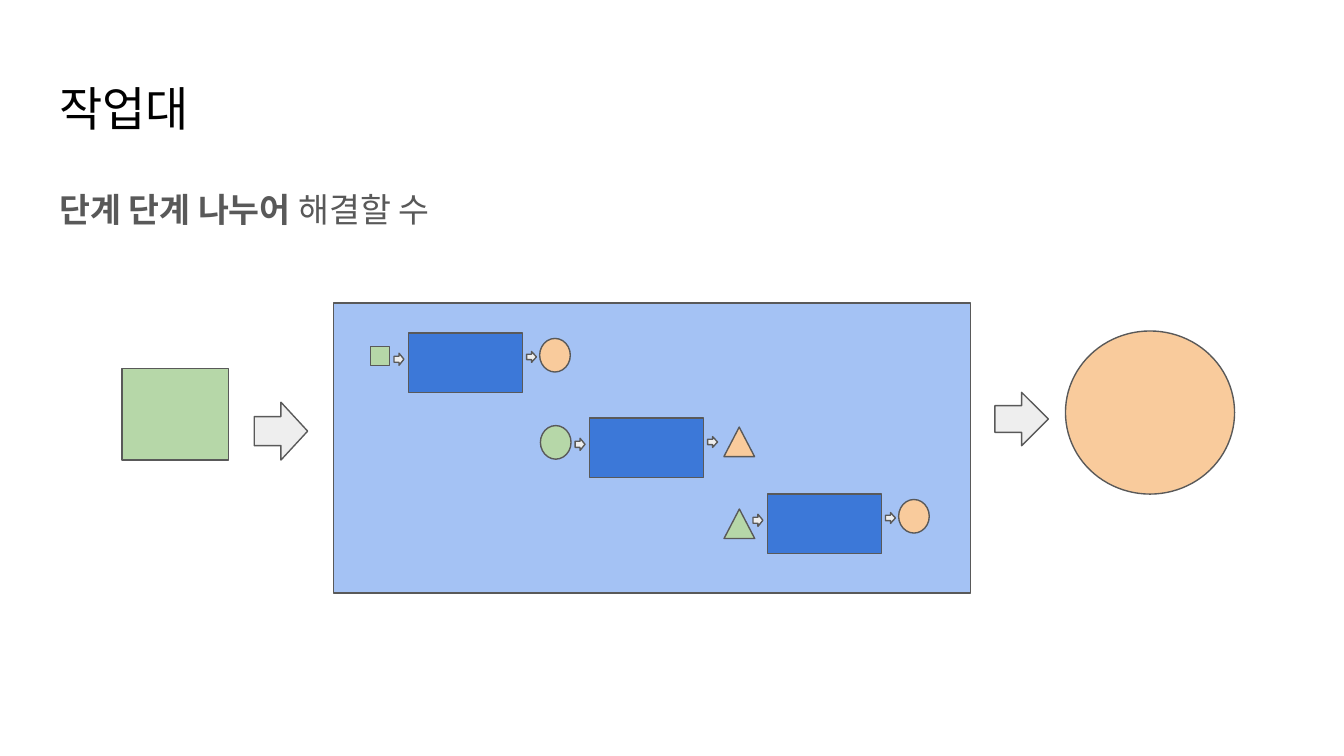
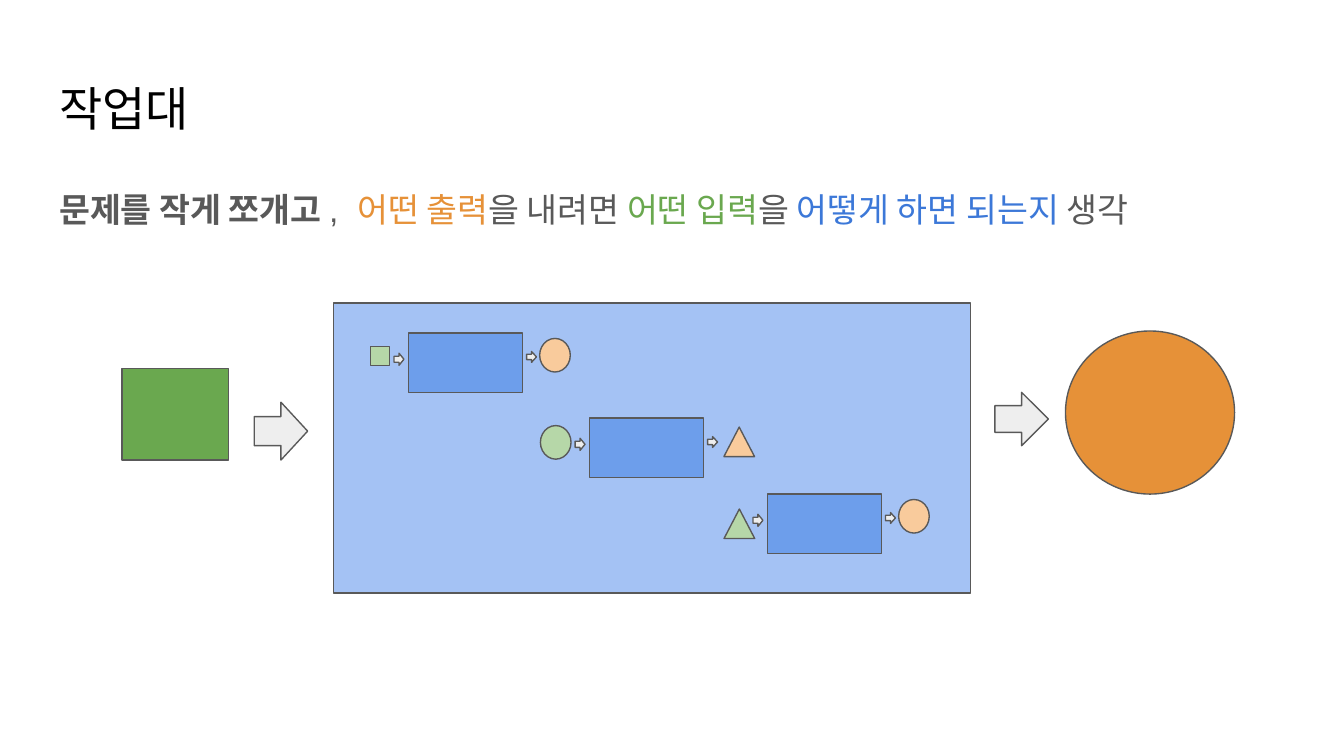
from dataclasses import dataclass

from lxml.etree import SubElement
from pptx import Presentation
from pptx.dml.color import RGBColor as RGB
from pptx.enum.shapes import MSO_SHAPE as Shape
from pptx.enum.text import MSO_ANCHOR as Anchor, MSO_AUTO_SIZE as AutoSize, PP_ALIGN as Align
from pptx.oxml.ns import qn
from pptx.util import Pt


@dataclass(frozen=True)
class Theme:
    font: str = "Arial"
    title_size: float = 25.2
    body_size: float = 18
    outline_width: float = 0.75
    black: str = "000000"
    gray: str = "595959"
    arrow: str = "EEEEEE"
    panel: str = "A4C2F4"
    blue: str = "3C78D8"
    mid_blue: str = "6D9EEB"
    green: str = "6AA84F"
    light_green: str = "B6D7A8"
    orange: str = "E69138"
    light_orange: str = "F9CB9C"


THEME = Theme()

# Places: left, top, width, height in points
TITLE_AREA = (24.5, 35.3, 671, 45.4)
BODY_AREA = (24.5, 90.7, 671, 269.3)
PANEL = (178.6, 162.4, 341.2, 155.4)
PROBLEM_INPUT = (65.4, 197.4, 56.9, 49)
PROBLEM_OUTPUT = (570.8, 177.3, 90.6, 87.4)
ARROW_IN = (136.2, 215.5, 28.6, 31)
ARROW_OUT = (533, 210.2, 28.6, 28.6)

# Parts of a step, measured from the corner of its box
STEP_SIZE = (61.2, 31.8)
STEP_ARROW_IN = (-7.6, 10.8, 5.3, 6.5)
STEP_ARROW_OUT = (63.4, 9.9, 5.3, 5.8)
STEP_OUTPUT_ROUND = (Shape.OVAL, (70.4, 2.9, 16.4, 18))
STEP_OUTPUT_TRIANGLE = (Shape.ISOSCELES_TRIANGLE, (72.1, 4.8, 16.4, 15.8))

# Box corner, input, output: each step takes in what the previous one gives
STEPS = [
    ((218.7, 178.4), (Shape.RECTANGLE, (-20.3, 7.1, 10.3, 10.3)), STEP_OUTPUT_ROUND),
    ((315.7, 224), (Shape.OVAL, (-26.2, 4, 16.4, 18)), STEP_OUTPUT_TRIANGLE),
    ((411, 264.7), (Shape.ISOSCELES_TRIANGLE, (-23.1, 8, 16.4, 15.8)), STEP_OUTPUT_ROUND),
]


def add_figure(slide, kind, place, fill):
    """Add an outlined preset shape."""
    figure = slide.shapes.add_shape(kind, *map(Pt, place))
    figure.shadow.inherit = False
    figure.fill.solid()
    figure.fill.fore_color.rgb = RGB.from_string(fill)
    figure.line.color.rgb = RGB.from_string(THEME.gray)
    figure.line.width = Pt(THEME.outline_width)


def add_arrow(slide, place):
    add_figure(slide, Shape.RIGHT_ARROW, place, THEME.arrow)


def write_line(holder, area, size, runs):
    """Place a placeholder and fill its one line with (text, colour, bold) runs."""
    holder.left, holder.top, holder.width, holder.height = map(Pt, area)
    frame = holder.text_frame
    frame.word_wrap = True
    frame.auto_size = AutoSize.NONE
    frame.vertical_anchor = Anchor.TOP
    frame.margin_left = frame.margin_right = Pt(7.2)
    frame.margin_top = frame.margin_bottom = Pt(7.2)
    line = frame.paragraphs[0]
    line.alignment = Align.LEFT
    line.space_before = Pt(0)
    for text, color, bold in runs:
        run = line.add_run()
        run.text = text
        run.font.name = THEME.font
        run.font.size = Pt(size)
        run.font.bold = bold
        run.font.color.rgb = RGB.from_string(color)
    return line


def add_heading(slide, message):
    """Write the shared title and the slide's message."""
    write_line(slide.shapes.title, TITLE_AREA, THEME.title_size,
               [("작업대", THEME.black, False)])
    line = write_line(slide.placeholders[1], BODY_AREA, THEME.body_size, message)
    line.line_spacing = 1.15
    line.space_after = Pt(12)
    # No bullet and no indent
    properties = line._p.get_or_add_pPr()
    properties.set("marL", "0")
    properties.set("indent", "0")
    SubElement(properties, qn("a:buNone"))


def add_step(slide, corner, source, result, fill):
    """Add a small box with its input, output and two arrows."""
    def shifted(place):
        return (corner[0] + place[0], corner[1] + place[1], *place[2:])

    add_figure(slide, Shape.RECTANGLE, (*corner, *STEP_SIZE), fill)
    for (kind, place), color in ((source, THEME.light_green), (result, THEME.light_orange)):
        add_figure(slide, kind, shifted(place), color)
    for place in (STEP_ARROW_IN, STEP_ARROW_OUT):
        add_arrow(slide, shifted(place))


def add_workbench(slide, input_fill, output_fill, step_fill):
    """Draw the whole problem and the steps inside it."""
    add_figure(slide, Shape.RECTANGLE, PANEL, THEME.panel)
    add_figure(slide, Shape.RECTANGLE, PROBLEM_INPUT, input_fill)
    add_figure(slide, Shape.OVAL, PROBLEM_OUTPUT, output_fill)
    add_arrow(slide, ARROW_IN)
    add_arrow(slide, ARROW_OUT)
    for corner, source, result in STEPS:
        add_step(slide, corner, source, result, step_fill)


def add_workbench_slide(deck, message, *fills):
    slide = deck.slides.add_slide(deck.slide_layouts[1])
    add_heading(slide, message)
    add_workbench(slide, *fills)


def main():
    deck = Presentation()
    deck.slide_width, deck.slide_height = Pt(720), Pt(405)

    # Solve step by step
    add_workbench_slide(deck, [
        ("단계 단계 나누어", THEME.gray, True),
        (" 해결할 수", THEME.gray, False),
    ], THEME.light_green, THEME.light_orange, THEME.blue)

    # Think of output, input and process
    add_workbench_slide(deck, [
        ("문제를 작게 쪼개고", THEME.gray, True),
        (" , ", THEME.gray, False),
        (" 어떤 출력", THEME.orange, False),
        ("을 내려면 ", THEME.gray, False),
        ("어떤 입력", THEME.green, False),
        ("을 ", THEME.gray, False),
        ("어떻게 하면 되는지", THEME.blue, False),
        (" 생각", THEME.gray, False),
    ], THEME.green, THEME.orange, THEME.mid_blue)

    deck.save("out.pptx")


if __name__ == "__main__":
    main()
